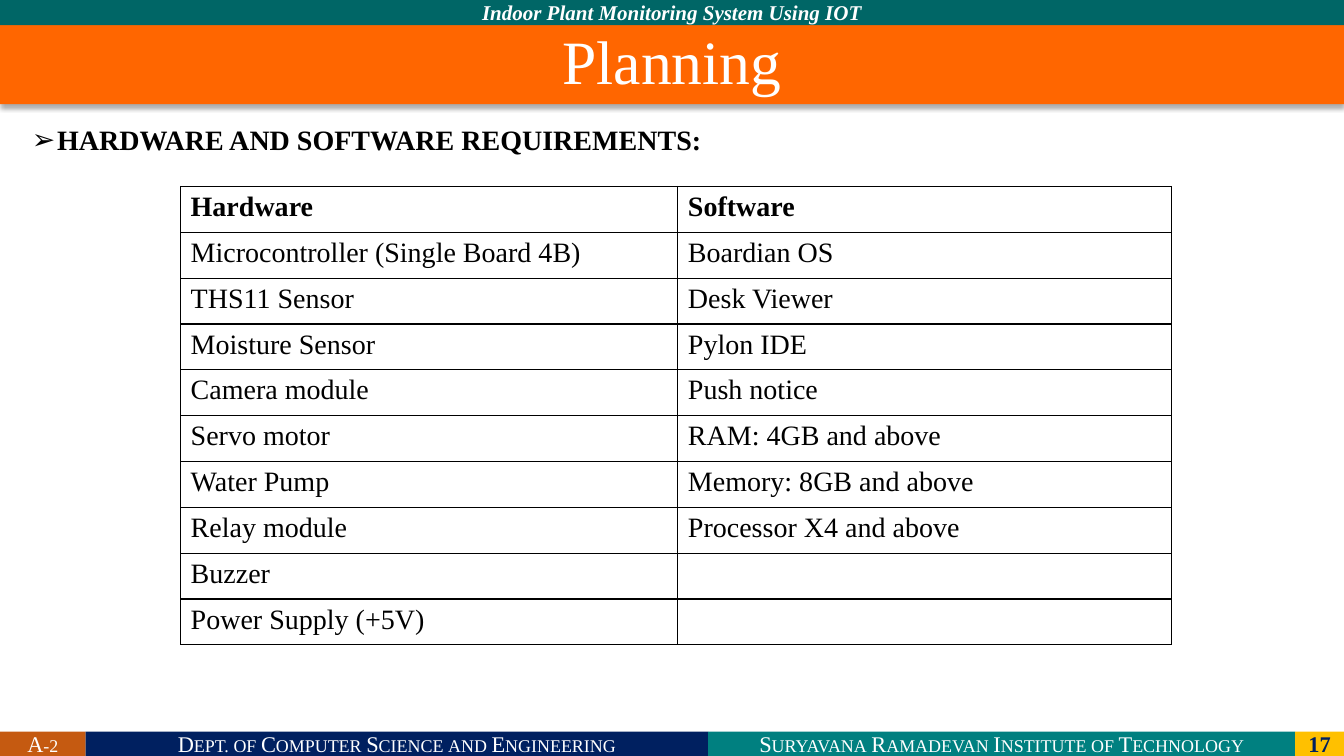
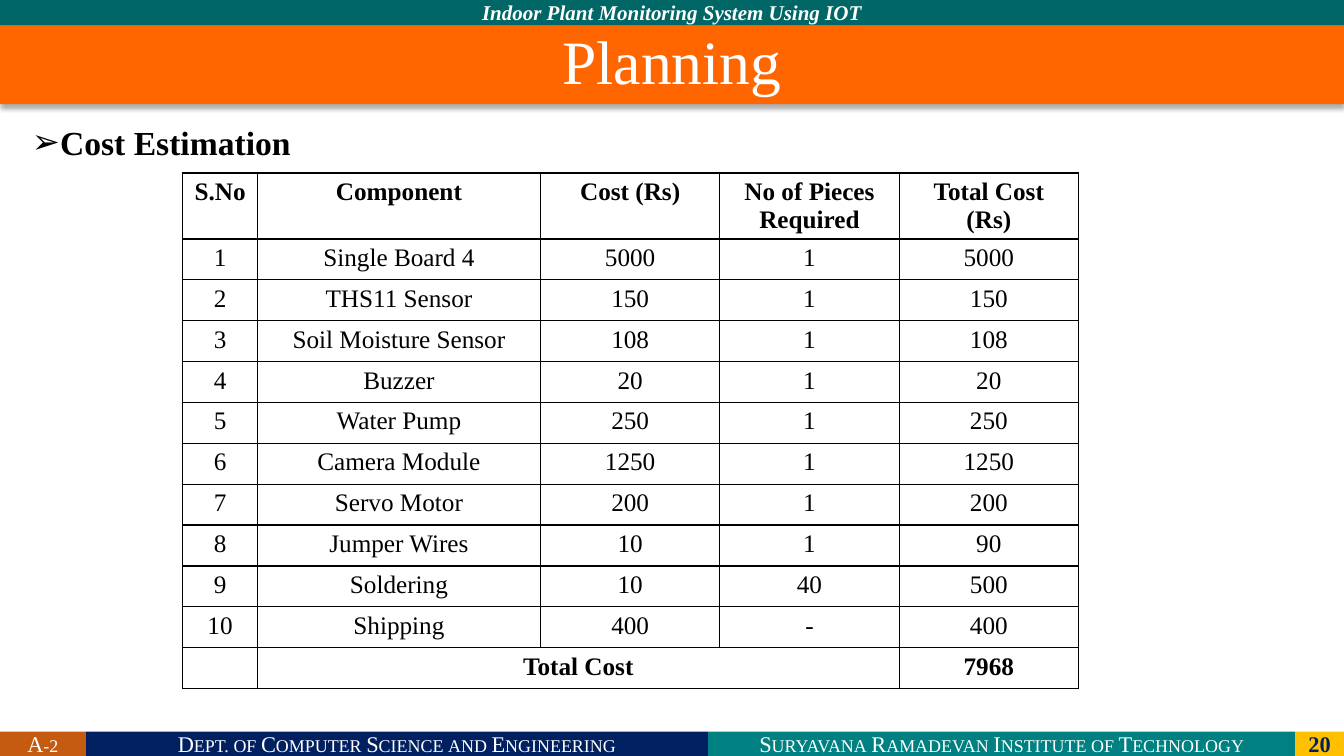
import pptx
import pptx.util
import pptx.dml.color
import pptx.enum.shapes
import pptx.enum.text
import pptx.oxml
import pptx.oxml.ns
from dataclasses import dataclass

ALIGN = pptx.enum.text.PP_ALIGN
MID = pptx.enum.text.MSO_ANCHOR.MIDDLE
COLS, ROWS = 160, 90
UNIT = pptx.util.Inches(7.5) // ROWS    # square grid cell


@dataclass(frozen=True)
class Theme:
    face: str = "Times New Roman"
    ink: str = "000000"
    white: str = "FFFFFF"
    navy: str = "002060"
    teal: str = "008080"
    pine: str = "006666"
    gold: str = "FFC000"
    rust: str = "C55A11"
    flame: str = "FF6600"
    title: int = 44
    foot: int = 16
    head: int = 15


def rgb(code):
    return pptx.dml.color.RGBColor.from_string(code)


def grid(*cells):
    return [round(cell * UNIT) for cell in cells]


def node(text):
    return pptx.oxml.parse_xml(text.replace(">", f" {pptx.oxml.ns.nsdecls('a')}>", 1))


def find(item, tag):
    return list(item.element.iter(pptx.oxml.ns.qn(tag)))


class Deck:
    def __init__(self, theme):
        self.theme = theme
        self.show = pptx.Presentation()
        self.show.slide_width, self.show.slide_height = grid(COLS, ROWS)
        self.slide = None

    def style(self, para, size, color, align, bold=False, slant=False):
        para.alignment = align
        font = para.font
        font.name, font.size = self.theme.face, pptx.util.Pt(size)
        font.bold, font.italic = bold, slant
        font.color.rgb = rgb(color)

    def place(self, shape, *box):
        shape.left, shape.top, shape.width, shape.height = grid(*box)

    def paint(self, shape, color):
        shape.fill.solid()
        shape.fill.fore_color.rgb = rgb(color)

    def band(self, box, text, fill, size, color=None, caps=False, **look):
        bar = self.slide.shapes.add_shape(
            pptx.enum.shapes.MSO_SHAPE.RECTANGLE, *grid(*box))
        bar.shadow.inherit = False
        self.paint(bar, fill)
        bar.line.fill.background()
        frame = bar.text_frame
        frame.margin_top = frame.margin_bottom = 0
        frame.vertical_anchor = MID
        frame.text = text
        self.style(frame.paragraphs[0], size, color or self.theme.white,
                   ALIGN.CENTER, **look)
        if caps:
            find(bar, "a:defRPr")[0].set("cap", "small")

    def page(self, title, number):
        look = self.theme
        self.slide = self.show.slides.add_slide(self.show.slide_layouts[1])
        # Top band
        self.band((0, 0, COLS, 3), "Indoor Plant Monitoring System Using IOT",
                  look.pine, look.head, bold=True, slant=True)
        # Footer bands, left to right
        left, top = 0, 87.1
        for wide, text, fill in (
                (10.2, "A-2", look.rust),
                (74.1, "Dept. of Computer Science and Engineering", look.navy),
                (69.9, "Suryavana Ramadevan Institute of Technology", look.teal)):
            self.band((left, top, wide, ROWS - top), text, fill, look.foot, caps=True)
            left += wide
        self.band((left, top, COLS - left, ROWS - top), str(number), look.gold,
                  look.foot, look.navy, bold=True)
        self.title(title)

    def title(self, text):
        shape = self.slide.shapes.title
        self.place(shape, 0, 3, COLS, 9.4)
        self.paint(shape, self.theme.flame)
        frame = shape.text_frame
        frame.text = text
        frame.auto_size = pptx.enum.text.MSO_AUTO_SIZE.NONE
        frame.vertical_anchor = MID
        para = frame.paragraphs[0]
        para.line_spacing = 0.9
        self.style(para, self.theme.title, self.theme.white, ALIGN.CENTER)
        # Soft shadow below the title
        blur, drop = pptx.util.Pt(3.5), pptx.util.Pt(2.2)
        find(shape, "p:spPr")[0].append(node(
            f'<a:effectLst><a:outerShdw blurRad="{blur}" dist="{drop}" dir="5400000">'
            f'<a:srgbClr val="{self.theme.ink}"><a:alpha val="32000"/></a:srgbClr>'
            '</a:outerShdw></a:effectLst>'))

    def point(self, text, size):
        body = self.slide.placeholders[1]
        self.place(body, 2.6, 14.4, 154.6, 70.8)
        frame = body.text_frame
        frame.text = text
        frame.auto_size = pptx.enum.text.MSO_AUTO_SIZE.NONE
        para = frame.paragraphs[0]
        para.line_spacing, para.space_before = 0.9, pptx.util.Pt(10)
        self.style(para, size, self.theme.ink, ALIGN.JUSTIFY, bold=True)
        # Arrow bullet with a hanging indent
        dent = pptx.util.Inches(0.25)
        props = find(body, "a:pPr")[0]
        props.set("marL", str(dent))
        props.set("indent", str(-dent))
        find(body, "a:defRPr")[0].addprevious(node('<a:buChar char="➢"></a:buChar>'))

    def table(self, left, top, wides, highs, data, size, align, strong=(0,), spans=()):
        frame = self.slide.shapes.add_table(
            len(data), len(wides), *grid(left, top, sum(wides), sum(highs)))
        table = frame.table
        table.first_row = table.horz_banding = False
        for col, wide in zip(table.columns, grid(*wides)):
            col.width = wide
        for row, high in zip(table.rows, grid(*highs)):
            row.height = high
        for y, line in enumerate(data):
            for x, text in enumerate(line):
                cell = table.cell(y, x)
                cell.fill.background()
                cell.text = text
                self.style(cell.text_frame.paragraphs[0], size, self.theme.ink,
                           align, bold=y in strong)
        for y, first, last in spans:
            table.cell(y, first).merge(table.cell(y, last))
        # Thin line on every side of each cell
        for props in find(frame, "a:tcPr"):
            for spot, side in enumerate("LRTB"):
                props.insert(spot, node(
                    f'<a:ln{side} w="{pptx.util.Pt(1)}"><a:solidFill>'
                    f'<a:srgbClr val="{self.theme.ink}"/></a:solidFill></a:ln{side}>'))


NEEDS = [
    ("Hardware", "Software"),
    ("Microcontroller (Single Board 4B)", "Boardian OS"),
    ("THS11 Sensor", "Desk Viewer"),
    ("Moisture Sensor", "Pylon IDE"),
    ("Camera module", "Push notice"),
    ("Servo motor", "RAM: 4GB and above"),
    ("Water Pump", "Memory: 8GB and above"),
    ("Relay module", "Processor X4 and above"),
    ("Buzzer", ""),
    ("Power Supply (+5V)", ""),
]

PARTS = [
    ("Single Board 4", "5000", "1", "5000"),
    ("THS11 Sensor", "150", "1", "150"),
    ("Soil Moisture Sensor", "108", "1", "108"),
    ("Buzzer", "20", "1", "20"),
    ("Water Pump", "250", "1", "250"),
    ("Camera Module", "1250", "1", "1250"),
    ("Servo Motor", "200", "1", "200"),
    ("Jumper Wires", "10", "1", "90"),
    ("Soldering", "10", "40", "500"),
    ("Shipping", "400", "-", "400"),
]


def main():
    deck = Deck(Theme())

    # Requirements
    deck.page("Planning", 17)
    deck.point("HARDWARE AND SOFTWARE REQUIREMENTS:", 20)
    deck.table(21.5, 22.2, (59.2, 58.8), [5.46] * len(NEEDS), NEEDS, 20, ALIGN.LEFT)

    # Costs
    deck.page("Planning", 20)
    deck.point("Cost Estimation", 24)
    costs = [("S.No", "Component", "Cost (Rs)", "No of Pieces Required", "Total Cost (Rs)")]
    costs += [(str(n), *part) for n, part in enumerate(PARTS, 1)]
    costs.append(("", "Total Cost", "", "", "7968"))
    last = len(costs) - 1
    deck.table(21.75, 20.6, [8.9, 33.7] + [21.35] * 3, [7.8] + [4.87] * last,
               costs, 18, ALIGN.CENTER, strong=(0, last), spans=[(last, 1, 3)])

    deck.show.save("out.pptx")


if __name__ == "__main__":
    main()
